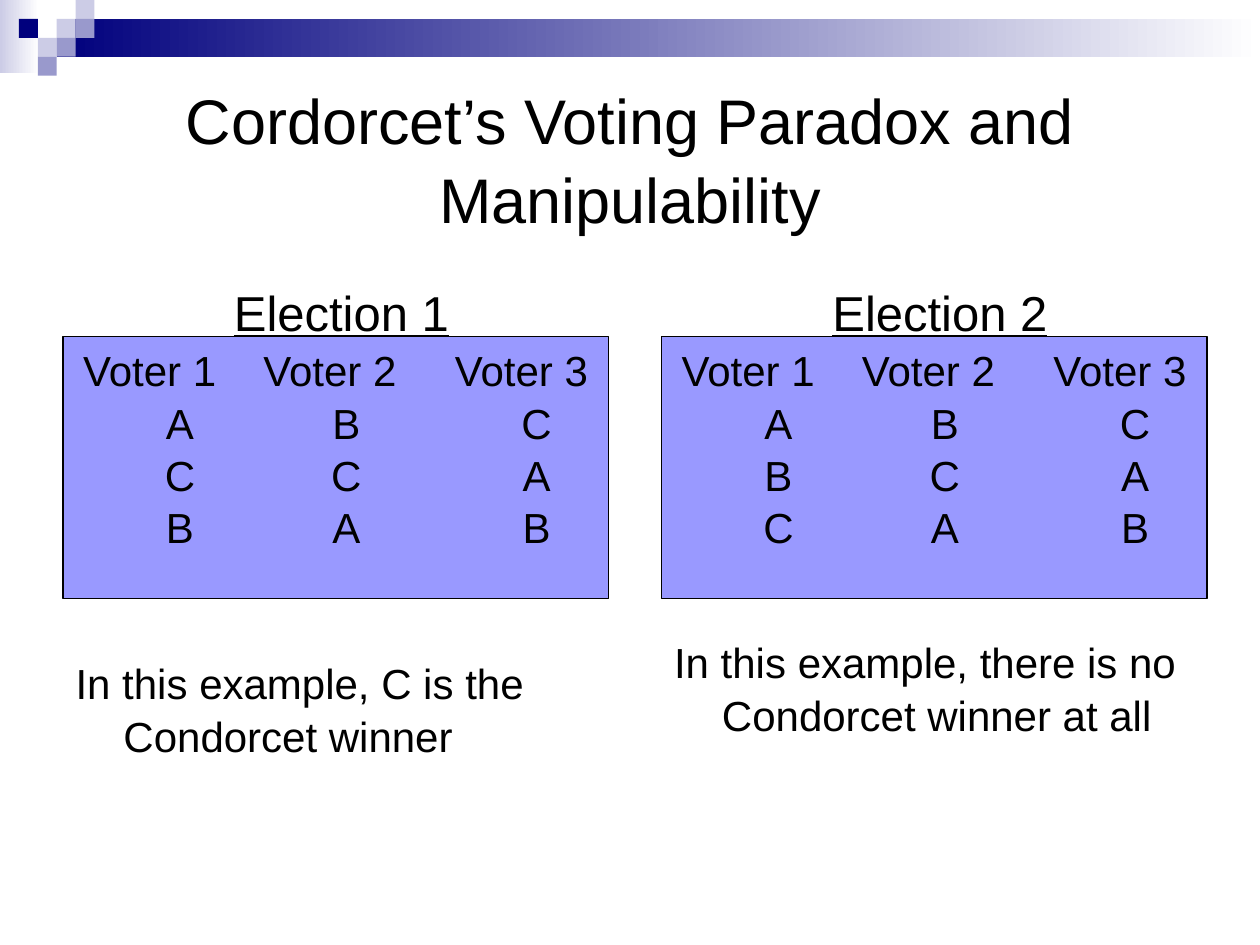
from typing import NamedTuple

from lxml import etree
from pptx import Presentation
from pptx.dml.color import RGBColor
from pptx.enum.shapes import MSO_SHAPE
from pptx.enum.text import MSO_ANCHOR, MSO_AUTO_SIZE, PP_ALIGN
from pptx.oxml.ns import qn
from pptx.util import Inches, Pt

RECTANGLE = MSO_SHAPE.RECTANGLE
TOP, MIDDLE = MSO_ANCHOR.TOP, MSO_ANCHOR.MIDDLE
LEFT, CENTER = PP_ALIGN.LEFT, PP_ALIGN.CENTER
NO_FIT = MSO_AUTO_SIZE.NONE

COLORS = {
    "navy": "00007D",
    "lavender": "CCCCE6",
    "violet": "9999CC",
    "panel": "9999FF",
    "white": "FFFFFF",
    "black": "000000",
}
FONT = "Arial"
LINE_SPACING = 1.04
UNIT = 0.15  # side of one square in the corner mosaic, inches
HANGING = 0.38
HEADER_STOPS = (0.59, 2.02, 3.54)
RANK_STOPS = (0.83, 2.15, 3.66)
VOTERS = ("Voter 1", "Voter 2", "Voter 3")


class Square(NamedTuple):
    column: int
    row: int
    color: str


class Band(NamedTuple):
    left: float
    top: float
    width: float
    height: float
    color: str


class Election(NamedTuple):
    heading: str
    left: float
    ranks: tuple[str, ...]  # one string per rank, one letter per voter
    verdict: str
    verdict_gap: int


BANDS = (
    Band(0, 0, 0.31, 0.58, "lavender"),
    Band(3 * UNIT, UNIT, 10 - 3 * UNIT, 2 * UNIT, "navy"),
)
MOSAIC = (
    Square(3, 1, "lavender"),
    Square(4, 0, "lavender"),
    Square(4, 1, "violet"),
    Square(2, 2, "lavender"),
    Square(1, 1, "navy"),
    Square(3, 2, "violet"),
    Square(2, 3, "violet"),
)
ELECTIONS = (
    Election("Election 1", 0.5, ("ABC", "CCA", "BAB"),
             "In this example, C is the Condorcet winner", 180),
    Election("Election 2", 5.25, ("ABC", "BCA", "CAB"),
             "In this example, there is no Condorcet winner at all", 168),
)


def rgb(name: str) -> RGBColor:
    return RGBColor.from_string(COLORS[name])


def place(shape, left: float, top: float, width: float, height: float) -> None:
    shape.left, shape.top = Inches(left), Inches(top)
    shape.width, shape.height = Inches(width), Inches(height)


def add_rectangle(page, left: float, top: float, width: float, height: float):
    box = page.shapes.add_shape(
        RECTANGLE, Inches(left), Inches(top), Inches(width), Inches(height))
    box.shadow.inherit = False
    box.line.fill.background()
    return box


def add_band(page, band: Band) -> None:
    """Draw a bar that fades to white from left to right."""
    fill = add_rectangle(page, *band[:4]).fill
    fill.gradient()
    fill.gradient_angle = 0
    for stop, color in zip(fill.gradient_stops, (band.color, "white")):
        stop.color.rgb = rgb(color)


def add_square(page, square: Square) -> None:
    box = add_rectangle(page, square.column * UNIT, square.row * UNIT, UNIT, UNIT)
    box.fill.solid()
    box.fill.fore_color.rgb = rgb(square.color)


def format_paragraph(para, size: int, align, gap: int = 0, underline: bool = False) -> None:
    para.alignment = align
    para.line_spacing = LINE_SPACING
    para.space_before = Pt(gap)
    font = para.font
    font.name, font.size, font.underline = FONT, Pt(size), underline
    font.color.rgb = rgb("black")


def set_hanging(para) -> None:
    """Hang the paragraph's later lines and drop its bullet."""
    properties = para._p.get_or_add_pPr()
    properties.set("marL", str(Inches(HANGING)))
    properties.set("indent", str(-Inches(HANGING)))
    etree.SubElement(properties, qn("a:buNone"))


def set_center_tabs(para, stops: tuple[float, ...]) -> None:
    tabs = etree.SubElement(para._p.get_or_add_pPr(), qn("a:tabLst"))
    for stop in stops:
        etree.SubElement(tabs, qn("a:tab"), pos=str(Inches(stop)), algn="ctr")


def fill_title(title) -> None:
    place(title, 0.5, 0.5, 9, 1.5)
    frame = title.text_frame
    frame.text = "Cordorcet’s Voting Paradox and Manipulability"
    frame.auto_size = NO_FIT
    frame.vertical_anchor = MIDDLE
    format_paragraph(frame.paragraphs[0], 36, CENTER)


def fill_body(body, election: Election) -> None:
    place(body, election.left, 2.17, 4.42, 4.25)
    frame = body.text_frame
    frame.text = f"{election.heading}\n{election.verdict}"
    frame.auto_size = NO_FIT
    for para in frame.paragraphs:
        set_hanging(para)
    heading, verdict = frame.paragraphs
    format_paragraph(heading, 28, CENTER, underline=True)
    format_paragraph(verdict, 24, LEFT, gap=election.verdict_gap)


def add_ballot(page, election: Election) -> None:
    """Draw the panel listing each voter's ranking in a column."""
    panel = add_rectangle(page, election.left, 2.67, 4.33, 2.08)
    panel.fill.solid()
    panel.fill.fore_color.rgb = rgb("panel")
    panel.line.color.rgb = rgb("black")
    panel.line.width = Pt(0.75)
    frame = panel.text_frame
    frame.word_wrap = True
    frame.vertical_anchor = TOP
    for index, row in enumerate((VOTERS, *election.ranks)):
        para = frame.add_paragraph() if index else frame.paragraphs[0]
        para.add_run().text = "".join(f"\t{entry}" for entry in row)
        set_center_tabs(para, RANK_STOPS if index else HEADER_STOPS)
        format_paragraph(para, 24, LEFT)


def main() -> None:
    deck = Presentation()
    deck.slide_width, deck.slide_height = Inches(10), Inches(7.5)
    page = deck.slides.add_slide(deck.slide_layouts.get_by_name("Two Content"))
    for band in BANDS:
        add_band(page, band)
    for square in MOSAIC:
        add_square(page, square)
    title, *bodies = page.placeholders
    fill_title(title)
    for body, election in zip(bodies, ELECTIONS):
        fill_body(body, election)
        add_ballot(page, election)
    deck.save("out.pptx")


if __name__ == "__main__":
    main()
